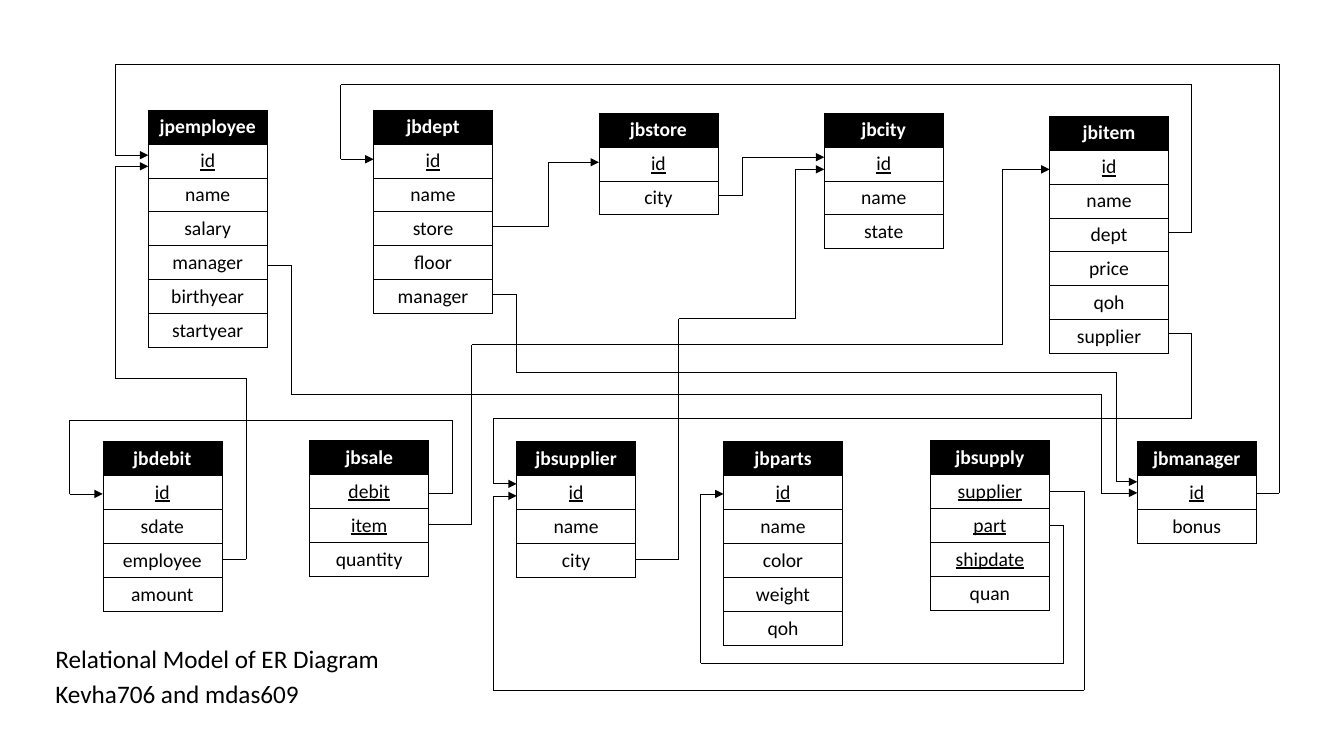
"""Build a one-slide relational model: entity tables joined by foreign-key arrows."""
from itertools import pairwise

from lxml import etree
from pptx import Presentation
from pptx import util as u
from pptx.dml.color import RGBColor
from pptx.enum import shapes, text
from pptx.oxml import parse_xml
from pptx.oxml.ns import nsdecls, qn

THEME = {
    "font": "Calibri", "ink": RGBColor(0, 0, 0), "paper": RGBColor(255, 255, 255),
    "caption": u.Pt(18), "cell": u.Pt(14), "line": u.Pt(0.5),
}
TITLE = "Relational Model of ER Diagram"
AUTHORS = "Kevha706 and mdas609"

# (name, top, number of leading key fields, fields)
UPPER = [
    ("jpemployee", 1.09, 1, "id name salary manager birthyear startyear"),
    ("jbdept", 1.09, 1, "id name store floor manager"),
    ("jbstore", 1.12, 1, "id city"),
    ("jbcity", 1.12, 1, "id name state"),
    ("jbitem", 1.15, 1, "id name dept price qoh supplier"),
]
LOWER = [
    ("jbdebit", 4.38, 1, "id sdate employee amount"),
    ("jbsale", 4.37, 2, "debit item quantity"),
    ("jbsupplier", 4.38, 1, "id name city"),
    ("jbparts", 4.38, 1, "id name color weight qoh"),
    ("jbsupply", 4.37, 3, "supplier part shipdate quan"),
    ("jbmanager", 4.38, 1, "id bonus"),
]
GRID = [(1.47, 2.235, UPPER), (1.02, 2.052, LOWER)]
COL_W, ROW_H = 1.18, 0.33

# (from, to, alternating y and x lanes, starting and ending with y)
ROUTES = [
    ("jbdept", "jbmanager", [2.92, 5.12, 3.69, 11.07, 4.78]),
    ("jbstore", "jbcity", [1.94, 7.36, 1.56]),
    ("jbitem", "jbdept", [2.31, 11.82, 0.84, 3.38, 1.58]),
    ("jbitem", "jbsupplier", [3.31, 11.82, 4.15, 4.89, 4.8]),
    ("jbdept", "jbstore", [2.25, 5.44, 1.61]),
    ("jpemployee", "jbmanager", [2.63, 2.89, 3.91, 10.92, 4.89]),
    ("jbdebit", "jpemployee", [5.55, 2.44, 3.75, 1.14, 1.65]),
    ("jbsale", "jbdebit", [4.89, 4.49, 4.17, 0.69, 4.9]),
    ("jbsale", "jbitem", [5.2, 4.68, 3.42, 9.94, 1.68]),
    ("jbsupplier", "jbcity", [5.55, 6.73, 3.16, 7.89, 1.68]),
    ("jbsupply", "jbparts", [5.21, 10.55, 6.58, 6.95, 4.9]),
    ("jbsupply", "jbsupplier", [4.87, 10.75, 6.85, 4.89, 4.92]),
    ("jbmanager", "jpemployee", [4.89, 12.69, 0.64, 1.14, 1.54]),
]


def style_font(font, size, color):
    font.name, font.size, font.color.rgb = THEME["font"], size, color


def style_cell(cell, words, header, key):
    pr = cell._tc.get_or_add_tcPr()
    for side in "LRTB":
        pr.append(parse_xml(
            f'<a:ln{side} {nsdecls("a")} w="{THEME["line"]}"><a:solidFill>'
            f'<a:srgbClr val="{THEME["ink"]}"/></a:solidFill></a:ln{side}>'))
    cell.fill.solid()
    cell.fill.fore_color.rgb = THEME["ink" if header else "paper"]
    cell.margin_left = cell.margin_right = u.Inches(0.05)
    cell.vertical_anchor = text.MSO_ANCHOR.MIDDLE
    cell.text = words
    p = cell.text_frame.paragraphs[0]
    p.alignment = text.PP_ALIGN.CENTER
    style_font(p.font, THEME["cell"], THEME["paper" if header else "ink"])
    p.font.bold, p.font.underline = header, key


def add_entity(slide, x, y, name, keys, fields):
    rows = [name] + fields.split()
    tbl = slide.shapes.add_table(len(rows), 1, *map(
        u.Inches, (x, y, COL_W, ROW_H * len(rows)))).table
    tbl.first_row = tbl.horz_banding = False
    for i, words in enumerate(rows):
        style_cell(tbl.cell(i, 0), words, i == 0, 0 < i <= keys)


def add_route(slide, start_x, end_x, lanes):
    xs, ys = [start_x, *lanes[1::2], end_x], lanes[::2]
    points = [(x, y) for i, y in enumerate(ys) for x in xs[i:i + 2]]
    for a, b in pairwise(points):
        line = slide.shapes.add_connector(
            shapes.MSO_CONNECTOR.STRAIGHT, *map(u.Inches, a + b))
        line.line.color.rgb, line.line.width = THEME["ink"], THEME["line"]
        etree.SubElement(line._element.spPr, qn("a:effectLst"))
    etree.SubElement(line.line._get_or_add_ln(), qn("a:tailEnd"), type="triangle")


def place_caption(sp, words, y, width):
    sp.left, sp.top, sp.width, sp.height = map(u.Inches, (0.45, y, width, 0.4))
    tf = sp.text_frame
    tf.text, tf.word_wrap, tf.auto_size = words, True, text.MSO_AUTO_SIZE.NONE
    tf.vertical_anchor = text.MSO_ANCHOR.TOP
    p = tf.paragraphs[0]
    p.alignment = text.PP_ALIGN.LEFT
    style_font(p.font, THEME["caption"], THEME["ink"])


prs = Presentation()
prs.slide_width, prs.slide_height = u.Inches(13.33), u.Inches(7.5)
slide = prs.slides.add_slide(prs.slide_layouts[5])
place_caption(slide.shapes.title, TITLE, 6.33, 3.55)
place_caption(slide.shapes.add_textbox(0, 0, 0, 0), AUTHORS, 6.68, 2.78)

left = {}
for x0, pitch, entities in GRID:
    for col, (name, top, keys, fields) in enumerate(entities):
        left[name] = x0 + col * pitch
        add_entity(slide, left[name], top, name, keys, fields)
for source, target, lanes in ROUTES:
    add_route(slide, left[source] + COL_W, left[target], lanes)

prs.save("out.pptx")
